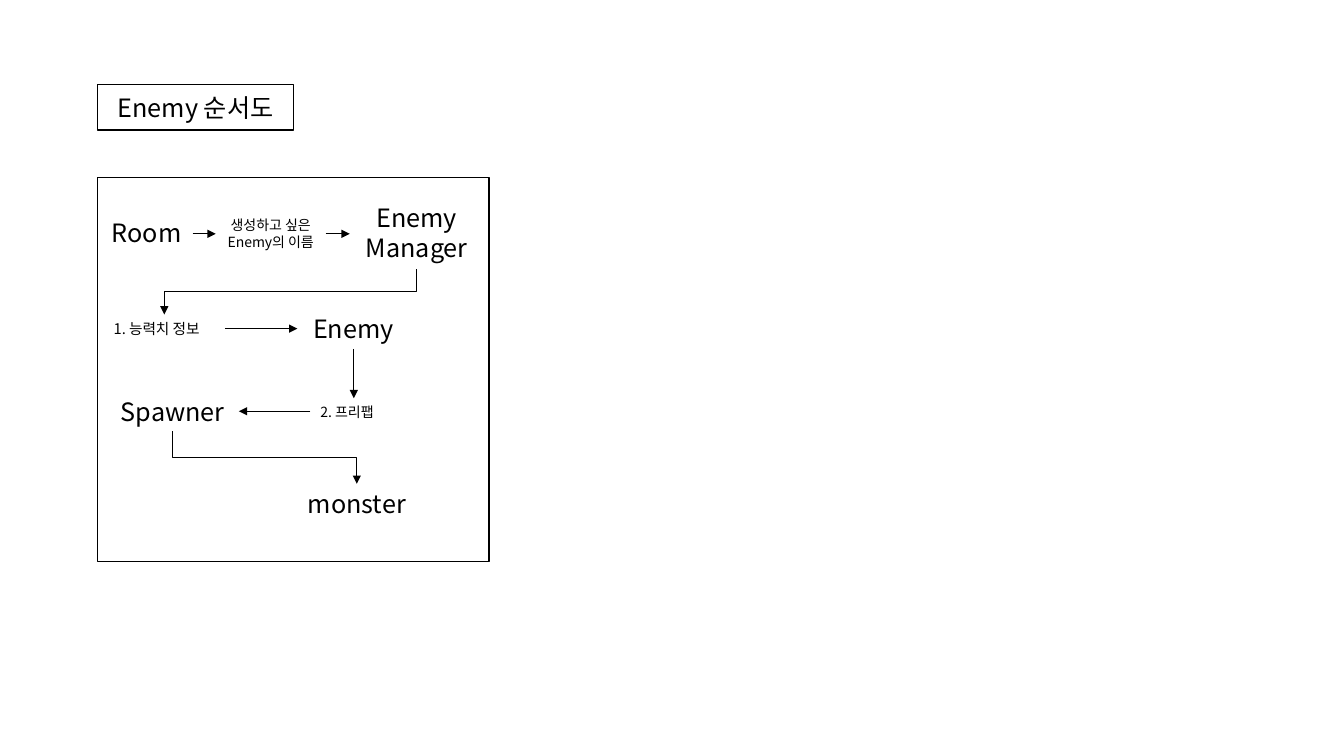
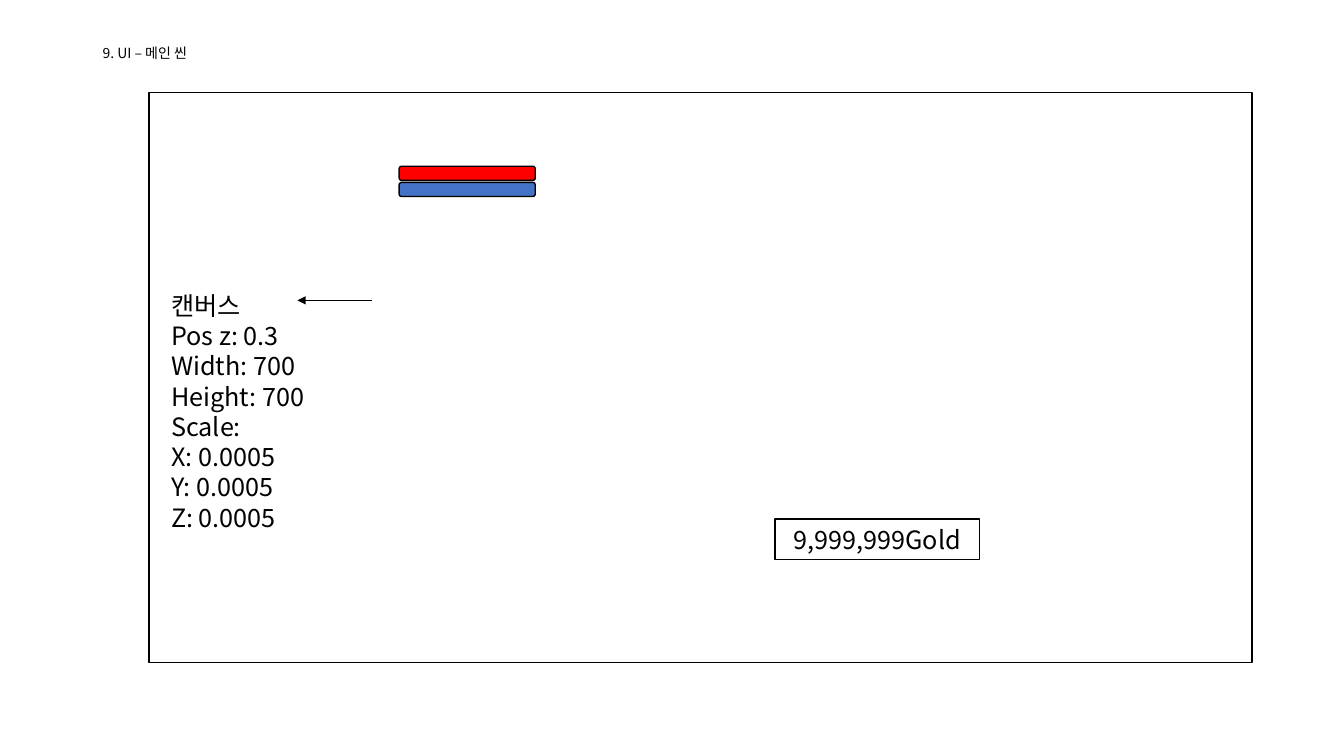
"""Builds two game design slides: the enemy flow chart and the main scene UI."""

import dataclasses
import typing

import lxml.etree
import pptx
import pptx.dml.color
import pptx.enum.shapes
import pptx.enum.text
import pptx.oxml.ns
import pptx.shapes.base
import pptx.slide
import pptx.util

BLACK = pptx.dml.color.RGBColor(0x00, 0x00, 0x00)
WHITE = pptx.dml.color.RGBColor(0xFF, 0xFF, 0xFF)
RED = pptx.dml.color.RGBColor(0xFF, 0x00, 0x00)
BLUE = pptx.dml.color.RGBColor(0x44, 0x72, 0xC4)
FONT = "Noto Sans CJK KR"
BIG, SMALL = 18, 10
THIN, EDGE = 0.5, 1

COLS, ROWS = 133.33, 75
CELL = pptx.util.Inches(0.1)

Kind = pptx.enum.shapes.MSO_SHAPE
Link = pptx.enum.shapes.MSO_CONNECTOR
Align = pptx.enum.text.PP_ALIGN
Anchor = pptx.enum.text.MSO_ANCHOR
Color = pptx.dml.color.RGBColor
Shape = pptx.shapes.base.BaseShape
Slide = pptx.slide.Slide
qn = pptx.oxml.ns.qn


@dataclasses.dataclass(frozen=True)
class Area:
    col: float
    row: float
    wide: float
    high: float

    def emu(self) -> list[int]:
        return [cells(n) for n in (self.col, self.row, self.wide, self.high)]


@dataclasses.dataclass(frozen=True)
class Label:
    text: str
    area: Area
    size: float = BIG
    align: Align = Align.CENTER


@dataclasses.dataclass(frozen=True)
class Arrow:
    x1: float
    y1: float
    x2: float
    y2: float


LABELS = (
    Label("Enemy Manager", Area(34.7, 19.6, 13.3, 7.1)),
    Label("Room", Area(10, 21.1, 9.1, 4)),
    Label("Spawner", Area(10.5, 38.8, 13.3, 4)),
    Label("Enemy", Area(29.5, 30.6, 11.1, 4)),
    Label("생성하고 싶은 Enemy의 이름", Area(21.4, 21, 10.9, 4.4), SMALL),
    Label("2. 프리팹", Area(30.8, 39.5, 8.5, 2.7), SMALL, Align.LEFT),
    Label("1. 능력치 정보", Area(10.3, 31.2, 12, 2.8), 10.5, Align.LEFT),
    Label("monster", Area(29.5, 48, 11.8, 4)),
)
FLOW = (
    Arrow(19.1, 23.2, 21.4, 23.2),
    Arrow(32.3, 23.2, 34.7, 23.2),
    Arrow(41.3, 26.7, 16.3, 31.2),
    Arrow(22.3, 32.6, 29.5, 32.6),
    Arrow(35.1, 34.6, 35.1, 39.5),
    Arrow(30.8, 40.8, 23.7, 40.8),
    Arrow(17.1, 42.8, 35.4, 48),
)
CANVAS = """캔버스
Pos z: 0.3
Width: 700
Height: 700
Scale:
X: 0.0005
Y: 0.0005
Z: 0.0005"""


def cells(count: float) -> int:
    return round(count * CELL)


def write(shape: Shape, text: str, *, size: float = BIG,
          align: Align = Align.CENTER, anchor: Anchor = Anchor.TOP,
          grow: bool = True, gap: float = 0, lead: float = 1) -> None:
    frame = shape.text_frame
    frame.word_wrap = True
    frame.vertical_anchor = anchor
    fit = pptx.enum.text.MSO_AUTO_SIZE
    frame.auto_size = fit.SHAPE_TO_FIT_TEXT if grow else fit.NONE
    frame.text = text
    for para in frame.paragraphs:
        para.alignment = align
        para.space_before = pptx.util.Pt(gap)
        para.line_spacing = lead
        for run in para.runs:
            run.font.size = pptx.util.Pt(size)
            run.font.color.rgb = BLACK
            run.font.name = FONT
            props = run._r.get_or_add_rPr()
            lxml.etree.SubElement(props, qn("a:ea"), typeface=FONT)


def label(slide: Slide, text: str, area: Area, **style: typing.Any) -> None:
    write(slide.shapes.add_textbox(*area.emu()), text, **style)


def box(slide: Slide, area: Area, fill: Color | None = WHITE,
        kind: Kind = Kind.RECTANGLE) -> Shape:
    shape = slide.shapes.add_shape(kind, *area.emu())
    shape.shadow.inherit = False
    if fill is None:
        shape.fill.background()
    else:
        shape.fill.solid()
        shape.fill.fore_color.rgb = fill
    shape.line.color.rgb = BLACK
    shape.line.width = pptx.util.Pt(EDGE)
    return shape


def arrow(slide: Slide, item: Arrow) -> None:
    x1, y1, x2, y2 = map(cells, dataclasses.astuple(item))
    bent = x1 != x2 and y1 != y2
    kind = Link.ELBOW if bent else Link.STRAIGHT
    if bent:
        midx, midy = (x1 + x2) // 2, (y1 + y2) // 2
        halfx, halfy = abs(x2 - x1) // 2, abs(y2 - y1) // 2
        ends = midx - halfy, midy - halfx, midx + halfy, midy + halfx
    else:
        ends = x1, y1, x2, y2
    line = slide.shapes.add_connector(kind, *ends)
    line.line.color.rgb = BLACK
    line.line.width = pptx.util.Pt(THIN)
    props = line.element.spPr
    if bent:
        turn = props.find(qn("a:xfrm"))
        right = x2 > x1
        turn.set("rot", str((270 if right else 90) * 60000))
        turn.set("flipH", str(int(right)))
    stroke = props.find(qn("a:ln"))
    lxml.etree.SubElement(stroke, qn("a:tailEnd"), type="triangle")
    lxml.etree.SubElement(props, qn("a:effectLst"))


def flow(slide: Slide) -> None:
    for item in LABELS:
        label(slide, item.text, item.area, size=item.size, align=item.align)
    title = box(slide, Area(9.7, 8.4, 19.4, 4.5))
    write(title, "Enemy 순서도", anchor=Anchor.MIDDLE, grow=False)
    box(slide, Area(9.7, 17.6, 38.8, 38.1), None)
    for item in FLOW:
        arrow(slide, item)


def scene(slide: Slide) -> None:
    label(slide, "9. UI – 메인 씬", Area(9.2, 4.1, 115, 63.6), size=SMALL,
          align=Align.LEFT, grow=False, gap=10, lead=0.9)
    box(slide, Area(14.8, 9.2, 109.4, 56.5))
    write(box(slide, Area(76.9, 51.5, 20.3, 4)), "9,999,999Gold")
    for place, fill in enumerate((RED, BLUE)):
        bar = Area(39.6, 16.5 + 1.6 * place, 13.5, 1.4)
        box(slide, bar, fill, Kind.ROUNDED_RECTANGLE)
    arrow(slide, Arrow(36.9, 29.8, 29.5, 29.8))
    label(slide, CANVAS, Area(16, 28.3, 16.4, 25.2), align=Align.LEFT)


def main() -> None:
    deck = pptx.Presentation()
    deck.slide_width, deck.slide_height = cells(COLS), cells(ROWS)
    blank = deck.slide_layouts[6]
    for draw in (flow, scene):
        draw(deck.slides.add_slide(blank))
    deck.save("out.pptx")


if __name__ == "__main__":
    main()
